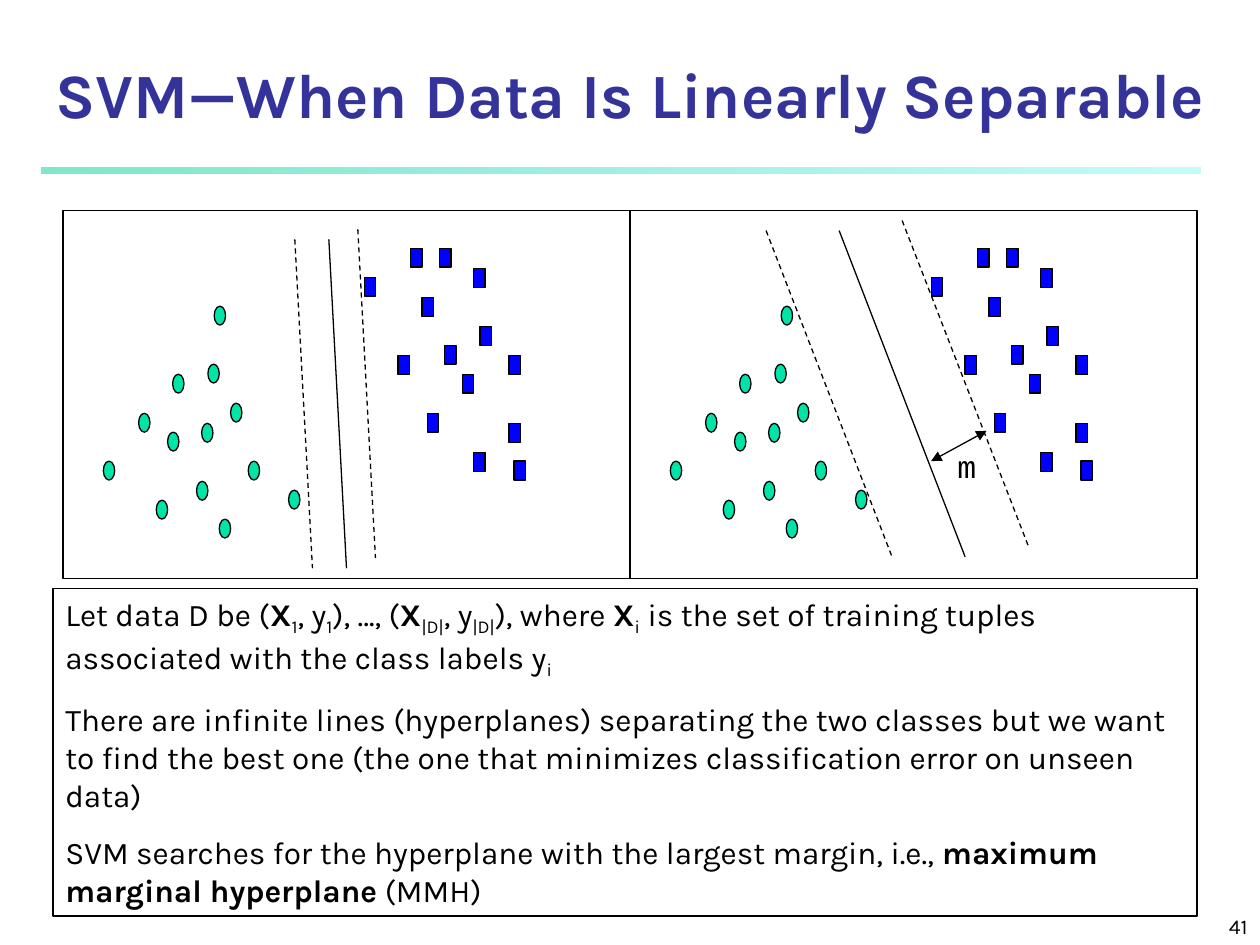
import dataclasses

import lxml.etree
import pptx
import pptx.dml.color
import pptx.enum.dml
import pptx.enum.shapes
import pptx.enum.text
import pptx.oxml.ns
import pptx.util

Inches = pptx.util.Inches
Pt = pptx.util.Pt
RGB = pptx.dml.color.RGBColor.from_string
SHAPE = pptx.enum.shapes.MSO_SHAPE
ALIGN = pptx.enum.text.PP_ALIGN
ANCHOR = pptx.enum.text.MSO_ANCHOR
AUTO_SIZE = pptx.enum.text.MSO_AUTO_SIZE


@dataclasses.dataclass(frozen=True)
class Theme:
    font: str = "Karla"
    label_font: str = "Courier New"
    ink: str = "000000"
    title: str = "333399"
    circle: str = "00E4A8"
    square: str = "0000FF"
    rule: tuple = (("00CE98", 50), ("8FF9EF", 52))
    title_size: float = 36
    body_size: float = 18
    number_size: float = 12
    paragraph_gap: float = 11.2
    line_width: float = 0.75


THEME = Theme()
PANEL_WIDTH = 4.5
MARKER_SIZE = (0.09, 0.15)
CIRCLES = [
    (1.24, 3.97), (1.33, 3.43), (0.82, 3.66), (1.1, 3.28), (1.56, 3.82),
    (1.37, 2.97), (1.6, 3.36), (1.65, 2.89), (1.83, 3.2), (1.97, 3.66),
    (1.74, 4.12), (2.29, 3.89), (1.7, 2.43),
]
SQUARES = [
    (3.16, 2.82), (2.89, 2.2), (3.26, 1.97), (3.39, 3.28), (3.35, 2.36),
    (3.53, 2.74), (3.49, 1.97), (3.76, 2.13), (3.67, 2.97), (3.81, 2.59),
    (3.76, 3.59), (4.04, 2.82), (4.04, 3.36), (4.08, 3.66),
]
NARROW_MARGIN = [
    (2.84, 1.82, 2.98, 4.43, True),
    (2.34, 1.9, 2.48, 4.51, True),
    (2.61, 1.9, 2.75, 4.51, False),
]
WIDE_MARGIN = [
    (6.08, 1.83, 7.08, 4.42, True),
    (7.16, 1.75, 8.16, 4.33, True),
    (6.66, 1.83, 7.66, 4.42, False),
]
BODY = [
    [("Let data D be (", ""), ("X", "bold"), ("1", "sub"), (", y", ""),
     ("1", "sub"), ("), …, (", ""), ("X", "bold"), ("|D|", "sub"),
     (", y", ""), ("|D|", "sub"), ("), where ", ""), ("X", "bold"),
     ("i", "sub"),
     (" is the set of training tuples associated with the class labels y", ""),
     ("i", "sub")],
    [("There are infinite lines (hyperplanes) separating the two classes but "
      "we want to find the best one (the one that minimizes classification "
      "error on unseen data)", "")],
    [("SVM searches for the hyperplane with the largest margin, i.e., ", ""),
     ("maximum marginal hyperplane", "bold"), (" (MMH)", "")],
]


def add_xml(parent, tag, **attributes):
    return lxml.etree.SubElement(parent, pptx.oxml.ns.qn(tag), **attributes)


def add_box(shapes, kind, box, fill=None):
    shape = shapes.add_shape(kind, *map(Inches, box))
    shape.shadow.inherit = False
    if fill:
        shape.fill.solid()
        shape.fill.fore_color.rgb = RGB(fill)
    else:
        shape.fill.background()
    shape.line.color.rgb = RGB(THEME.ink)
    shape.line.width = Pt(THEME.line_width)
    return shape


def add_line(shapes, ends, dashed=False, arrows=False):
    connector = shapes.add_connector(
        pptx.enum.shapes.MSO_CONNECTOR.STRAIGHT, *map(Inches, ends))
    connector.line.color.rgb = RGB(THEME.ink)
    connector.line.width = Pt(THEME.line_width)
    if dashed:
        connector.line.dash_style = pptx.enum.dml.MSO_LINE.DASH
    properties = connector.element.spPr
    if arrows:
        outline = properties.find(pptx.oxml.ns.qn("a:ln"))
        for end in ("a:headEnd", "a:tailEnd"):
            add_xml(outline, end, type="triangle")
    add_xml(properties, "a:effectLst")


def write_text(shape, paragraphs, size, color=THEME.ink, font=THEME.font,
               align=ALIGN.LEFT, anchor=ANCHOR.TOP, gap=0, bold=False,
               grow=False):
    frame = shape.text_frame
    frame.word_wrap = True
    frame.vertical_anchor = anchor
    frame.auto_size = AUTO_SIZE.SHAPE_TO_FIT_TEXT if grow else AUTO_SIZE.NONE
    for index, runs in enumerate(paragraphs):
        paragraph = frame.add_paragraph() if index else frame.paragraphs[0]
        paragraph.alignment = align
        paragraph.space_before = Pt(gap)
        for text, style in runs:
            run = paragraph.add_run()
            run.text = text
            run.font.name = font
            run.font.size = Pt(size)
            run.font.color.rgb = RGB(color)
            run.font.bold = bold or style == "bold"
            if style == "sub":
                run.font.element.set("baseline", "-25000") if hasattr(
                    run.font, "element") else run._r.get_or_add_rPr().set(
                    "baseline", "-25000")


def add_text(shapes, box, text, size, **options):
    write_text(shapes.add_textbox(*map(Inches, box)), [[(text, "")]], size,
               **options)


def add_title_rule(shapes):
    rule = add_box(shapes, SHAPE.RECTANGLE, (0.33, 1.33, 9.2, 0.05))
    rule.line.fill.background()
    rule.fill.gradient()
    rule.fill.gradient_angle = 0
    colors = rule.element.spPr.iter(pptx.oxml.ns.qn("a:gs"))
    for stop, element, (color, opacity) in zip(
            rule.fill.gradient_stops, colors, THEME.rule):
        stop.color.rgb = RGB(color)
        add_xml(element[0], "a:alpha", val=str(opacity * 1000))


def add_panel(slide, offset, margin_lines):
    shapes = slide.shapes.add_group_shape().shapes
    markers = ((SHAPE.OVAL, CIRCLES, THEME.circle),
               (SHAPE.RECTANGLE, SQUARES, THEME.square))
    for kind, points, color in markers:
        for left, top in points:
            add_box(shapes, kind, (left + offset, top, *MARKER_SIZE), color)
    add_box(shapes, SHAPE.RECTANGLE, (0.5 + offset, 1.67, PANEL_WIDTH, 2.92))
    for *ends, dashed in margin_lines:
        add_line(shapes, ends, dashed)


def main():
    presentation = pptx.Presentation()
    presentation.slide_width = Inches(10)
    presentation.slide_height = Inches(7.5)
    slide = presentation.slides.add_slide(presentation.slide_layouts[6])
    shapes = slide.shapes

    add_title_rule(shapes)
    add_text(shapes, (7.92, 7.08, 2.08, 0.42), "41", THEME.number_size,
             align=ALIGN.RIGHT, anchor=ANCHOR.BOTTOM)
    add_text(shapes, (0, 0.42, 10, 0.67), "SVM—When Data Is Linearly Separable",
             THEME.title_size, color=THEME.title, align=ALIGN.CENTER,
             anchor=ANCHOR.BOTTOM, bold=True)

    add_panel(slide, 0, NARROW_MARGIN)
    add_panel(slide, PANEL_WIDTH, WIDE_MARGIN)
    add_line(shapes, (7.39, 3.66, 7.83, 3.42), arrows=True)
    add_text(shapes, (7.5, 3.5, 0.58, 0.4), "m", THEME.body_size,
             font=THEME.label_font, gap=THEME.paragraph_gap, grow=True)

    body = add_box(shapes, SHAPE.RECTANGLE, (0.42, 4.67, 9.08, 2.6))
    write_text(body, BODY, THEME.body_size, gap=THEME.paragraph_gap, grow=True)
    presentation.save("out.pptx")


if __name__ == "__main__":
    main()
